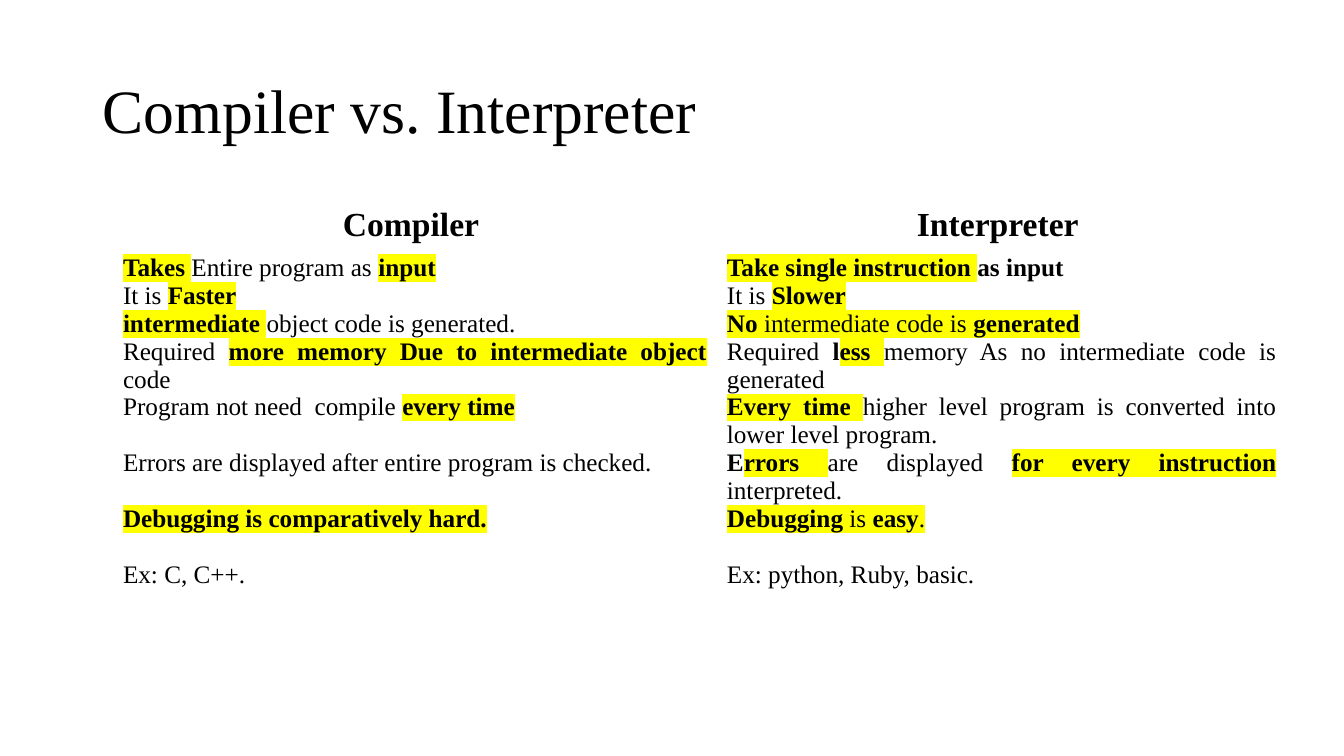
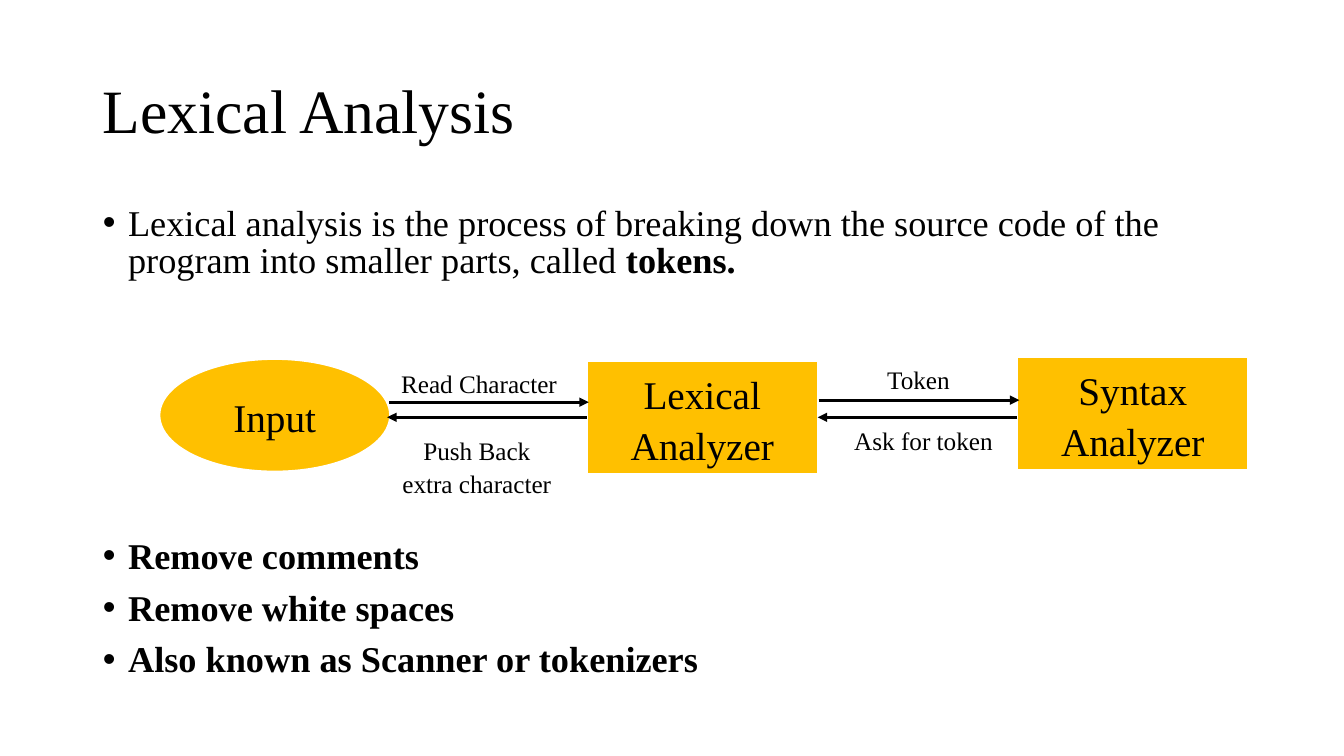
"""Build two slides on compilers, interpreters and lexical analysis."""
from dataclasses import dataclass

from lxml import etree
from pptx import Presentation
from pptx.dml.color import RGBColor
from pptx.enum.shapes import MSO_CONNECTOR, MSO_SHAPE
from pptx.enum.text import MSO_ANCHOR, MSO_AUTO_SIZE, PP_ALIGN
from pptx.oxml.ns import qn
from pptx.util import Inches, Pt

FONT = "Times New Roman"
BLACK, WHITE, AMBER, YELLOW = "000000", "FFFFFF", "FFC000", "FFFF00"
LEFT, CENTER, JUSTIFY = PP_ALIGN.LEFT, PP_ALIGN.CENTER, PP_ALIGN.JUSTIFY
MIDDLE = MSO_ANCHOR.MIDDLE
NO_FIT = MSO_AUTO_SIZE.NONE
STRAIGHT = MSO_CONNECTOR.STRAIGHT
OVAL, RECTANGLE = MSO_SHAPE.OVAL, MSO_SHAPE.RECTANGLE
LEFT_SIDE, RIGHT_SIDE = 1, 3
TITLE_ONLY, TITLE_AND_BODY = 5, 1
TABLE_SIZE, BODY_SIZE, BOX_SIZE, LABEL_SIZE = 18, 25.9, 28, 18
BLANK_LINE = 19.9
BOX_LINE_SPACING = 1.08
STAGE_WIDTH, STAGE_HEIGHT, LABEL_WIDTH = 2.29, 1.12, 1.8


@dataclass(frozen=True)
class Span:
    text: str
    bold: bool = False
    marked: bool = False


@dataclass(frozen=True)
class Para:
    spans: tuple[Span, ...]
    before: float = 0


@dataclass(frozen=True)
class Stage:
    name: str
    shape: int
    left: float
    top: float


@dataclass(frozen=True)
class Arrow:
    start: float
    end: float
    top: float
    start_joint: tuple[str, int] | None = None
    end_joint: tuple[str, int] | None = None


@dataclass(frozen=True)
class Label:
    text: str
    left: float
    top: float
    height: float = 0.4
    align: int = CENTER


def plain(text: str) -> Span:
    """Return ordinary text."""
    return Span(text)


def bold(text: str) -> Span:
    """Return bold text."""
    return Span(text, bold=True)


def marked(text: str) -> Span:
    """Return highlighted text."""
    return Span(text, marked=True)


def key(text: str) -> Span:
    """Return bold highlighted text."""
    return Span(text, bold=True, marked=True)


COMPILER = (
    Para((key("Takes"), marked(" "), plain("Entire program as "), key("input"))),
    Para((plain("It is "), key("Faster"))),
    Para((key("intermediate"), marked(" "), plain("object code is generated."))),
    Para((plain("Required "), key("more memory Due to intermediate object"),
          marked(" "), plain("code"))),
    Para((plain("Program not need  compile "), key("every time"))),
    Para((plain("Errors are displayed after entire program is checked."),), BLANK_LINE),
    Para((key("Debugging is comparatively hard."),), BLANK_LINE),
    Para((plain("Ex: C, C++."),), BLANK_LINE),
)
INTERPRETER = (
    Para((key("Take single instruction "), bold("as input"))),
    Para((plain("It is "), key("Slower"))),
    Para((key("No"), marked(" intermediate code is "), key("generated"))),
    Para((plain("Required "), bold("l"), key("ess"), marked(" "),
          plain("memory As no intermediate code is generated"))),
    Para((key("Every time "),
          plain("higher level program is converted into lower level program."))),
    Para((bold("E"), key("rrors"), marked(" "), plain("are displayed "),
          key("for every instruction"), marked(" "), plain("interpreted."))),
    Para((key("Debugging"), marked(" is "), key("easy"), marked("."))),
    Para((plain("Ex: python, Ruby, basic."),), BLANK_LINE),
)
COLUMNS = (("Compiler ", 5.99, COMPILER), ("Interpreter ", 5.65, INTERPRETER))

LEXICAL_POINTS = (
    Para((plain("Lexical analysis is the process of breaking down the source code "
                "of the program into smaller parts, called "), bold("tokens."))),
    Para((bold("Remove comments"),), 185),
    Para((bold("Remove white spaces"),), 10.6),
    Para((bold("Also known as Scanner or tokenizers"),), 10.6),
)
STAGES = (
    Stage("Input", OVAL, 1.58, 3.56),
    Stage("Lexical Analyzer", RECTANGLE, 5.82, 3.58),
    Stage("Syntax Analyzer", RECTANGLE, 10.09, 3.54),
)
ARROWS = (
    Arrow(3.86, 5.84, 3.99),
    Arrow(5.82, 3.84, 4.14, start_joint=("Lexical Analyzer", LEFT_SIDE)),
    Arrow(8.12, 10.11, 3.97),
    Arrow(10.09, 8.11, 4.14, end_joint=("Lexical Analyzer", RIGHT_SIDE)),
)
LABELS = (
    Label("Read Character", 3.88, 3.58, align=LEFT),
    Label("Push Back extra character", 3.83, 4.25, height=0.71),
    Label("Token", 8.21, 3.54),
    Label("Ask for token", 8.26, 4.15),
)


def colour(value: str) -> RGBColor:
    """Turn a hex string into a colour."""
    return RGBColor.from_string(value)


def place(shape, left: float, top: float, width: float, height: float) -> None:
    """Move and size a shape in inches."""
    shape.left, shape.top = Inches(left), Inches(top)
    shape.width, shape.height = Inches(width), Inches(height)


def highlight(run) -> None:
    """Put a yellow marker behind a run."""
    marker = etree.SubElement(run.font._element, qn("a:highlight"))
    etree.SubElement(marker, qn("a:srgbClr"), val=YELLOW)


def style(paragraph, size: float, align: int, spacing: float = 1.0) -> None:
    """Set the font, alignment and line spacing of a paragraph."""
    paragraph.alignment = align
    paragraph.line_spacing = spacing
    paragraph.font.name = FONT
    paragraph.font.size = Pt(size)
    paragraph.font.color.rgb = colour(BLACK)


def write(frame, paras: tuple[Para, ...], size: float, align: int,
          spacing: float = 1.0) -> None:
    """Fill a text frame with styled paragraphs."""
    for index, para in enumerate(paras):
        paragraph = frame.add_paragraph() if index else frame.paragraphs[0]
        style(paragraph, size, align, spacing)
        paragraph.space_before = Pt(para.before)
        for span in para.spans:
            run = paragraph.add_run()
            run.text = span.text
            run.font.bold = span.bold
            if span.marked:
                highlight(run)


def add_page(deck, layout: int, title: str):
    """Add a slide with the shared title style."""
    page = deck.slides.add_slide(deck.slide_layouts[layout])
    place(page.shapes.title, 0.92, 0.4, 11.5, 1.45)
    frame = page.shapes.title.text_frame
    frame.auto_size = NO_FIT
    frame.vertical_anchor = MIDDLE
    write(frame, (Para((plain(title),)),), 44, LEFT, 0.9)
    return page


def add_comparison(page) -> None:
    """Add the two-column comparison table."""
    width = sum(column[1] for column in COLUMNS)
    table = page.shapes.add_table(2, len(COLUMNS), Inches(1.12), Inches(2),
                                  Inches(width), Inches(2.14)).table
    table.first_row = table.horz_banding = False
    table.rows[0].height, table.rows[1].height = Inches(0.25), Inches(1.89)
    for index, (heading, column_width, paras) in enumerate(COLUMNS):
        table.columns[index].width = Inches(column_width)
        head, content = table.cell(0, index), table.cell(1, index)
        for cell in (head, content):
            cell.fill.background()
        write(head.text_frame, (Para((bold(heading),)),), 24, CENTER)
        write(content.text_frame, paras, TABLE_SIZE, JUSTIFY)


def add_points(page) -> None:
    """Fill the body placeholder with the bulleted points."""
    body = page.placeholders[1]
    place(body, 0.92, 2, 11.5, 4.76)
    body.text_frame.auto_size = NO_FIT
    write(body.text_frame, LEXICAL_POINTS, BODY_SIZE, LEFT, 0.85)
    for paragraph in body.text_frame.paragraphs:
        properties = paragraph._p.get_or_add_pPr()
        properties.set("marL", str(Inches(0.25)))
        properties.set("indent", str(Inches(-0.25)))


def add_stage(page, stage: Stage):
    """Add one amber stage of the flow."""
    box = page.shapes.add_shape(stage.shape, Inches(stage.left), Inches(stage.top),
                                Inches(STAGE_WIDTH), Inches(STAGE_HEIGHT))
    box.shadow.inherit = False
    box.fill.solid()
    box.fill.fore_color.rgb = colour(AMBER)
    box.line.color.rgb = colour(WHITE)
    box.line.width = Pt(1.5)
    box.text_frame.word_wrap = True
    box.text_frame.vertical_anchor = MIDDLE
    write(box.text_frame, (Para((plain(stage.name),)),), BOX_SIZE, CENTER,
          BOX_LINE_SPACING)
    return box


def add_arrow(page, arrow: Arrow, boxes: dict) -> None:
    """Add a horizontal arrow, joined to its stages where it meets them."""
    line = page.shapes.add_connector(STRAIGHT, Inches(arrow.start), Inches(arrow.top),
                                     Inches(arrow.end), Inches(arrow.top))
    line.line.color.rgb = colour(BLACK)
    line.line.width = Pt(2.25)
    if arrow.start_joint:
        name, side = arrow.start_joint
        line.begin_connect(boxes[name], side)
    if arrow.end_joint:
        name, side = arrow.end_joint
        line.end_connect(boxes[name], side)
    properties = line.element.spPr
    etree.SubElement(properties.find(qn("a:ln")), qn("a:tailEnd"), type="triangle")
    etree.SubElement(properties, qn("a:effectLst"))


def add_label(page, label: Label) -> None:
    """Add the caption of an arrow."""
    box = page.shapes.add_textbox(Inches(label.left), Inches(label.top),
                                  Inches(LABEL_WIDTH), Inches(label.height))
    box.text_frame.word_wrap = True
    write(box.text_frame, (Para((plain(label.text),)),), LABEL_SIZE, label.align,
          BOX_LINE_SPACING)


def main() -> None:
    """Build and save the deck."""
    deck = Presentation()
    deck.slide_width, deck.slide_height = Inches(13.33), Inches(7.5)
    add_comparison(add_page(deck, TITLE_ONLY, "Compiler vs. Interpreter"))
    page = add_page(deck, TITLE_AND_BODY, "Lexical Analysis")
    add_points(page)
    boxes = {stage.name: add_stage(page, stage) for stage in STAGES}
    for arrow in ARROWS:
        add_arrow(page, arrow, boxes)
    for label in LABELS:
        add_label(page, label)
    deck.save("out.pptx")


if __name__ == "__main__":
    main()
